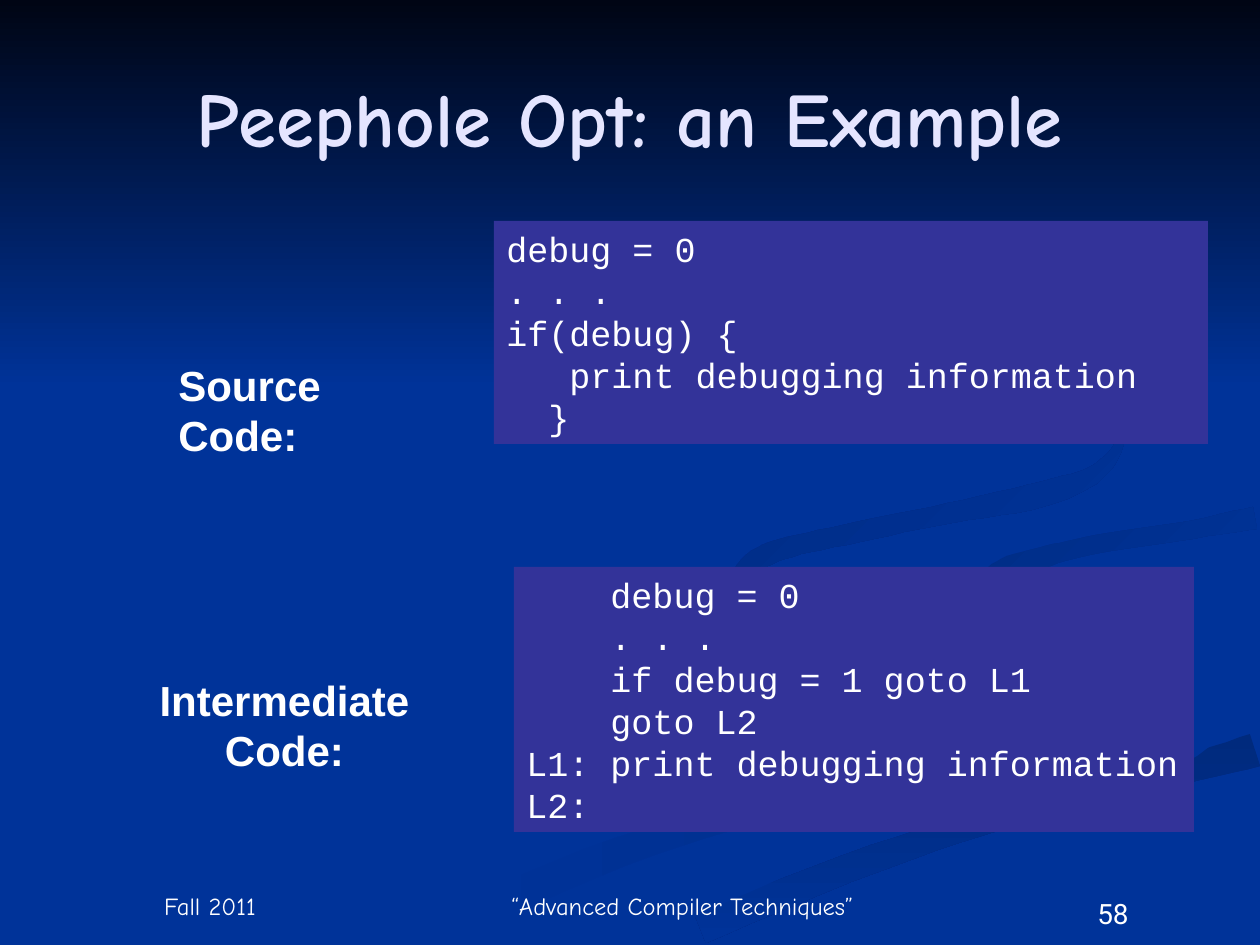
from math import hypot

from pptx import Presentation
from pptx.dml.color import RGBColor
from pptx.enum.shapes import MSO_SHAPE
from pptx.enum.text import MSO_ANCHOR, MSO_AUTO_SIZE, PP_ALIGN
from pptx.util import Emu, Pt

PX = 914400 / 126
SLIDE_WIDTH, SLIDE_HEIGHT = 1260, 945
RECTANGLE = MSO_SHAPE.RECTANGLE
TOP, MIDDLE, BOTTOM = MSO_ANCHOR.TOP, MSO_ANCHOR.MIDDLE, MSO_ANCHOR.BOTTOM
LEFT, CENTER = PP_ALIGN.LEFT, PP_ALIGN.CENTER
FIXED_SIZE, FIT_TEXT = MSO_AUTO_SIZE.NONE, MSO_AUTO_SIZE.SHAPE_TO_FIT_TEXT

BLUE, WHITE, LAVENDER, INDIGO = "003399", "FFFFFF", "E5E5FF", "333399"
NIGHT = "000514"
HEADING_FONT, LABEL_FONT, CODE_FONT, NUMBER_FONT = "Comic Neue", "Arial", "Courier New", "Roboto"

STEPS_PER_KNOT = 6

# Each ribbon follows a centre line of knots: x, y, width of the ribbon there
LEFT_RIBBON = [
    (725, 578, 0), (722, 592, 6), (752, 615, 8), (860, 654, 2), (975, 693, 6), (998, 720, 20),
    (985, 750, 24), (912, 772, 26), (780, 804, 24), (620, 852, 30), (446, 926, 36),
]
LOWER_RIBBON = [
    (1255, 750, 34), (1158, 777, 25), (1034, 808, 23), (876, 858, 27), (700, 928, 32),
]
MIDDLE_RIBBON = [
    (1250, 498, 19), (1080, 527, 15), (1000, 540, 24), (953, 582, 62), (1005, 622, 30),
    (1180, 682, 30), (1210, 712, 40), (1160, 762, 22), (1000, 800, 10), (835, 850, 10),
    (634, 936, 16),
]
RIGHT_RIBBON = [
    (1255, 518, 22), (1178, 532, 18), (1098, 544, 19), (1048, 556, 20), (1008, 570, 26),
    (999, 588, 28), (1041, 625, 0),
]
UPPER_RIBBON = [
    (960, 294, 0), (1040, 334, 2), (1100, 384, 8), (1123, 428, 7), (1100, 470, 16),
    (1043, 494, 25), (950, 513, 20), (858, 532, 20), (790, 547, 20), (758, 560, 22),
    (738, 585, 21), (744, 603, 13), (784, 630, 0),
]

# Knots, first colour, last colour, clockwise gradient angle
RIBBONS = [
    (LEFT_RIBBON, BLUE, "002E8B", 0),
    (LOWER_RIBBON, "002A7D", BLUE, 90),
    (MIDDLE_RIBBON, BLUE, BLUE, 0),
    (RIGHT_RIBBON, "002D86", BLUE, 45),
    (UPPER_RIBBON, "002B82", BLUE, 45),
]

SOURCE_CODE = """debug = 0
. . .
if(debug) {
   print debugging information
  }"""
INTERMEDIATE_CODE = """    debug = 0
    . . .
    if debug = 1 goto L1
    goto L2
L1: print debugging information
L2:"""


def px(length):
    return Emu(round(length * PX))


def color(hex_code):
    return RGBColor.from_string(hex_code)


def smooth(knots):
    """Run a Catmull-Rom curve through the knots, blending widths like positions."""
    padded = [knots[0], *knots, knots[-1]]
    curve = []
    for before, start, end, after in zip(padded, padded[1:], padded[2:], padded[3:]):
        for step in range(STEPS_PER_KNOT):
            t = step / STEPS_PER_KNOT
            curve.append(tuple(
                b + t / 2 * (c - a + t * (2 * a - 5 * b + 4 * c - d + t * (3 * (b - c) + d - a)))
                for a, b, c, d in zip(before, start, end, after)
            ))
    return curve + [knots[-1]]


def ribbon_outline(knots):
    """Step half the width to either side of the centre line: out on one side, back on the other."""
    curve = smooth(knots)
    one_side, other_side = [], []
    for i, (x, y, width) in enumerate(curve):
        behind, ahead = curve[max(i - 1, 0)], curve[min(i + 1, len(curve) - 1)]
        run, rise = ahead[0] - behind[0], ahead[1] - behind[1]
        reach = max(width, 0) / 2 / hypot(run, rise)
        one_side.append((round(x - rise * reach), round(y + run * reach)))
        other_side.append((round(x + rise * reach), round(y - run * reach)))
    return one_side + other_side[::-1]


def paint(shape, first, last, angle=0):
    """Fill without outline or shadow; two equal colours give a solid fill."""
    shape.shadow.inherit = False
    shape.line.fill.background()
    if first == last:
        shape.fill.solid()
        shape.fill.fore_color.rgb = color(first)
        return
    shape.fill.gradient()
    shape.fill.gradient_angle = -angle % 360
    for stop, position, shade in zip(shape.fill.gradient_stops, (0, 1), (first, last)):
        stop.position = position
        stop.color.rgb = color(shade)


def write(shape, text, font, size, ink=WHITE, bold=False, align=LEFT, anchor=TOP, wrap=True):
    frame = shape.text_frame
    frame.word_wrap = wrap
    frame.auto_size = FIXED_SIZE if wrap else FIT_TEXT
    frame.vertical_anchor = anchor
    frame.text = text
    for paragraph in frame.paragraphs:
        paragraph.alignment = align
        for run in paragraph.runs:
            run.font.name = font
            run.font.size = Pt(size)
            run.font.bold = bold
            run.font.color.rgb = color(ink)


def add_ribbon(slide, knots, first, last, angle):
    start, *rest = ribbon_outline(knots)
    builder = slide.shapes.build_freeform(*start, scale=PX)
    builder.add_line_segments(rest, close=True)
    paint(builder.convert_to_shape(), first, last, angle)


def add_panel(slide, box, first, last, angle=0):
    panel = slide.shapes.add_shape(RECTANGLE, *map(px, box))
    paint(panel, first, last, angle)
    return panel


def add_backdrop(slide):
    slide.background.fill.solid()
    slide.background.fill.fore_color.rgb = color(BLUE)
    for ribbon in RIBBONS:
        add_ribbon(slide, *ribbon)
    add_panel(slide, (0, 0, SLIDE_WIDTH, 388), NIGHT, BLUE, 90)


def add_label(slide, box, text, font, size, **style):
    write(slide.shapes.add_textbox(*map(px, box)), text, font, size, **style)


def add_title(slide, title):
    margin = 63
    add_label(slide, (margin, 38, SLIDE_WIDTH - 2 * margin, 158), title, HEADING_FONT, 44,
              ink=LAVENDER, bold=True, align=CENTER, anchor=MIDDLE)


def add_footer(slide, term, course, number):
    for left, width, text in ((63, 294, term), (483, 399, course)):
        add_label(slide, (left, 882, width, 45), text, HEADING_FONT, 14,
                  align=CENTER, anchor=BOTTOM)
    add_label(slide, (1008, 890, 210, 50), number, NUMBER_FONT, 16, align=CENTER)


def add_listing(slide, caption, caption_box, caption_align, code, code_box):
    """Put a code panel beside its bold caption."""
    write(add_panel(slide, code_box, INDIGO, INDIGO), code, CODE_FONT, 20)
    add_label(slide, caption_box, caption, LABEL_FONT, 24,
              bold=True, align=caption_align, wrap=False)


def main():
    deck = Presentation()
    deck.slide_width, deck.slide_height = px(SLIDE_WIDTH), px(SLIDE_HEIGHT)
    slide = deck.slides.add_slide(deck.slide_layouts[6])

    add_backdrop(slide)
    add_title(slide, "Peephole Opt: an Example")
    add_listing(slide, "Source Code:", (166, 353, 297, 63), LEFT,
                SOURCE_CODE, (494, 221, 714, 223))
    add_listing(slide, "Intermediate\nCode:", (147, 668, 275, 113), CENTER,
                INTERMEDIATE_CODE, (514, 567, 680, 265))
    add_footer(slide, "Fall 2011", "“Advanced Compiler Techniques”", "58")

    deck.save("out.pptx")


if __name__ == "__main__":
    main()
